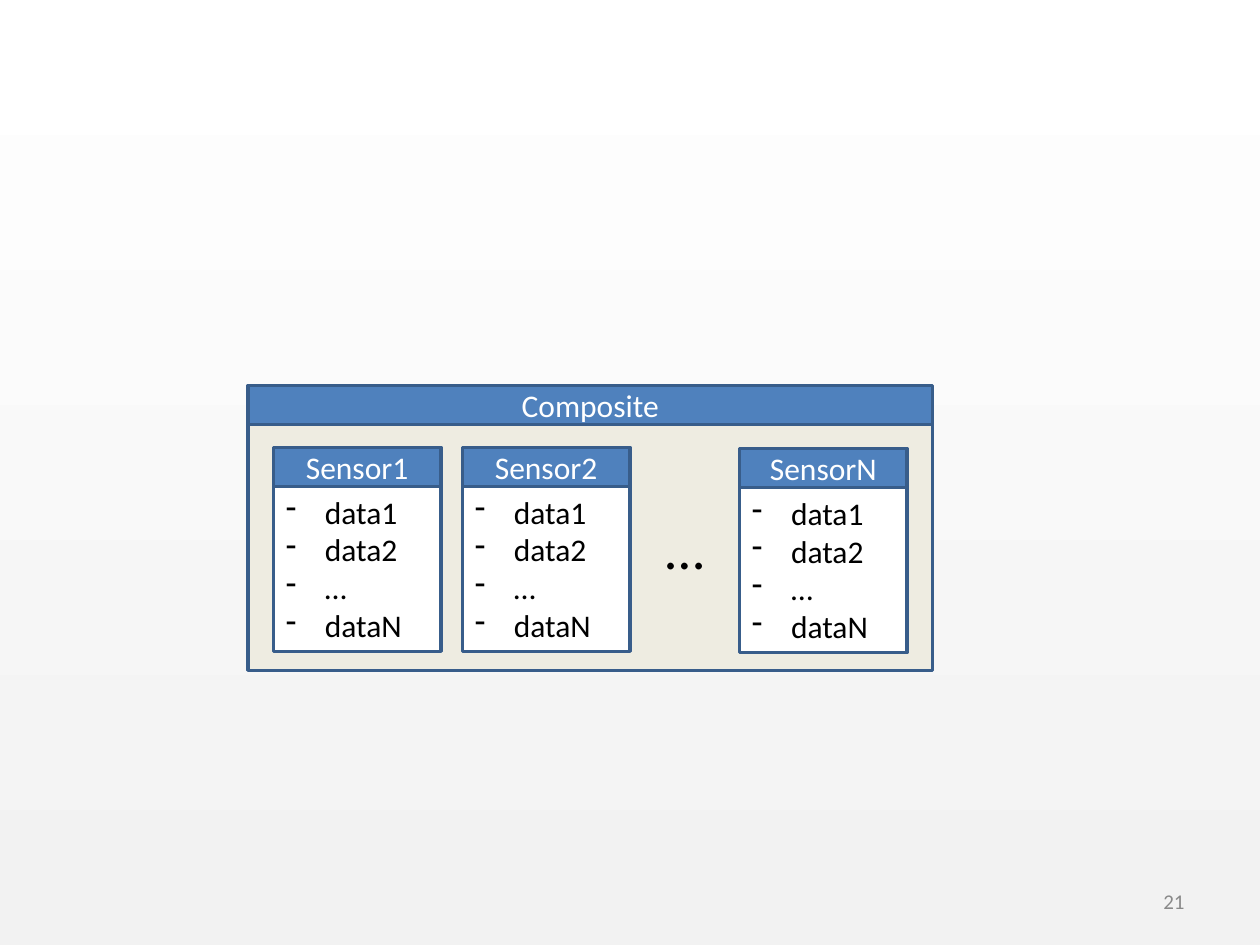
from lxml import etree
from pptx import Presentation
from pptx.dml.color import RGBColor
from pptx.enum.shapes import MSO_SHAPE
from pptx.enum.text import MSO_ANCHOR, PP_ALIGN
from pptx.oxml.ns import qn
from pptx.util import Inches, Pt

RECTANGLE = MSO_SHAPE.RECTANGLE
TOP, MIDDLE = MSO_ANCHOR.TOP, MSO_ANCHOR.MIDDLE
LEFT, CENTER, RIGHT = PP_ALIGN.LEFT, PP_ALIGN.CENTER, PP_ALIGN.RIGHT

COMPOSITE = "Composite"
READINGS = ["data1", "data2", "…", "dataN"]
# name, left, top
SENSORS = [("Sensor1", 2.17, 3.55), ("Sensor2", 3.67, 3.55), ("SensorN", 5.87, 3.56)]
MORE_SENSORS = "…"
PAGE_NUMBER = "21"

THEME = {
    "font": "Calibri",
    "background": ("FFFFFF", "F2F2F2"),
    "header": "4F81BD",
    "header_text": "FFFFFF",
    "panel": "EEECE1",
    "card": "FFFFFF",
    "border": "385D8A",
    "text": "000000",
    "muted": "898989",
    "body_size": 18,
    "ellipsis_size": 32,
    "number_size": 12,
    "border_width": 2,
}

HEADER_HEIGHT = 0.31
COMPOSITE_LEFT, COMPOSITE_TOP, COMPOSITE_WIDTH = 1.97, 3.06, 5.43
PANEL_HEIGHT = 1.95
SENSOR_WIDTH, READINGS_HEIGHT = 1.33, 1.31
BULLET_INDENT = 0.31


def color(name):
    return RGBColor.from_string(THEME[name])


def add_line_of_text(paragraph, text, size, ink, align):
    paragraph.alignment = align
    run = paragraph.add_run()
    run.text = text
    run.font.name = THEME["font"]
    run.font.size = Pt(THEME[size])
    run.font.color.rgb = color(ink)


def add_dash_bullet(paragraph):
    properties = paragraph._p.get_or_add_pPr()
    properties.set("marL", str(Inches(BULLET_INDENT)))
    properties.set("indent", str(-Inches(BULLET_INDENT)))
    bullet_color = etree.SubElement(properties, qn("a:buClr"))
    etree.SubElement(bullet_color, qn("a:srgbClr"), val=THEME["text"])
    etree.SubElement(properties, qn("a:buChar"), char="-")


def add_box(shapes, left, top, width, height, fill, lines, ink,
            size="body_size", align=CENTER, anchor=MIDDLE):
    box = shapes.add_shape(RECTANGLE, Inches(left), Inches(top), Inches(width), Inches(height))
    box.shadow.inherit = False
    box.fill.solid()
    box.fill.fore_color.rgb = color(fill)
    box.line.color.rgb = color("border")
    box.line.width = Pt(THEME["border_width"])
    frame = box.text_frame
    frame.word_wrap = True
    frame.vertical_anchor = anchor
    for index, text in enumerate(lines):
        paragraph = frame.add_paragraph() if index else frame.paragraphs[0]
        add_line_of_text(paragraph, text, size, ink, align)
    return box


def add_header(shapes, left, top, width, title):
    add_box(shapes, left, top, width, HEADER_HEIGHT, "header", [title], "header_text")


def add_sensor(shapes, name, left, top):
    add_header(shapes, left, top, SENSOR_WIDTH, name)
    card = add_box(shapes, left, top + HEADER_HEIGHT, SENSOR_WIDTH, READINGS_HEIGHT,
                   "card", READINGS, "text", align=LEFT, anchor=TOP)
    for paragraph in card.text_frame.paragraphs:
        add_dash_bullet(paragraph)


def add_composite(slide):
    shapes = slide.shapes.add_group_shape().shapes
    panel = add_box(shapes, COMPOSITE_LEFT, COMPOSITE_TOP + HEADER_HEIGHT, COMPOSITE_WIDTH,
                    PANEL_HEIGHT, "panel", [MORE_SENSORS], "text", size="ellipsis_size")
    # The insets centre the ellipsis in the gap before the last sensor.
    gap_left = SENSORS[-2][1] + SENSOR_WIDTH
    gap_right = SENSORS[-1][1]
    panel.text_frame.margin_left = Inches(gap_left - COMPOSITE_LEFT)
    panel.text_frame.margin_right = Inches(COMPOSITE_LEFT + COMPOSITE_WIDTH - gap_right)
    add_header(shapes, COMPOSITE_LEFT, COMPOSITE_TOP, COMPOSITE_WIDTH, COMPOSITE)
    for name, left, top in SENSORS:
        add_sensor(shapes, name, left, top)


def add_page_number(slide):
    number = slide.shapes.add_textbox(Inches(7.17), Inches(6.95), Inches(2.33), Inches(0.4))
    frame = number.text_frame
    frame.word_wrap = True
    frame.vertical_anchor = MIDDLE
    add_line_of_text(frame.paragraphs[0], PAGE_NUMBER, "number_size", "muted", RIGHT)


def paint_background(slide):
    fill = slide.background.fill
    fill.gradient()
    fill.gradient_angle = 270
    for stop, shade in zip(fill.gradient_stops, THEME["background"]):
        stop.color.rgb = RGBColor.from_string(shade)


def main():
    deck = Presentation()
    deck.slide_width, deck.slide_height = Inches(10), Inches(7.5)
    slide = deck.slides.add_slide(deck.slide_layouts[6])
    paint_background(slide)
    add_page_number(slide)
    add_composite(slide)
    deck.save("out.pptx")


if __name__ == "__main__":
    main()
